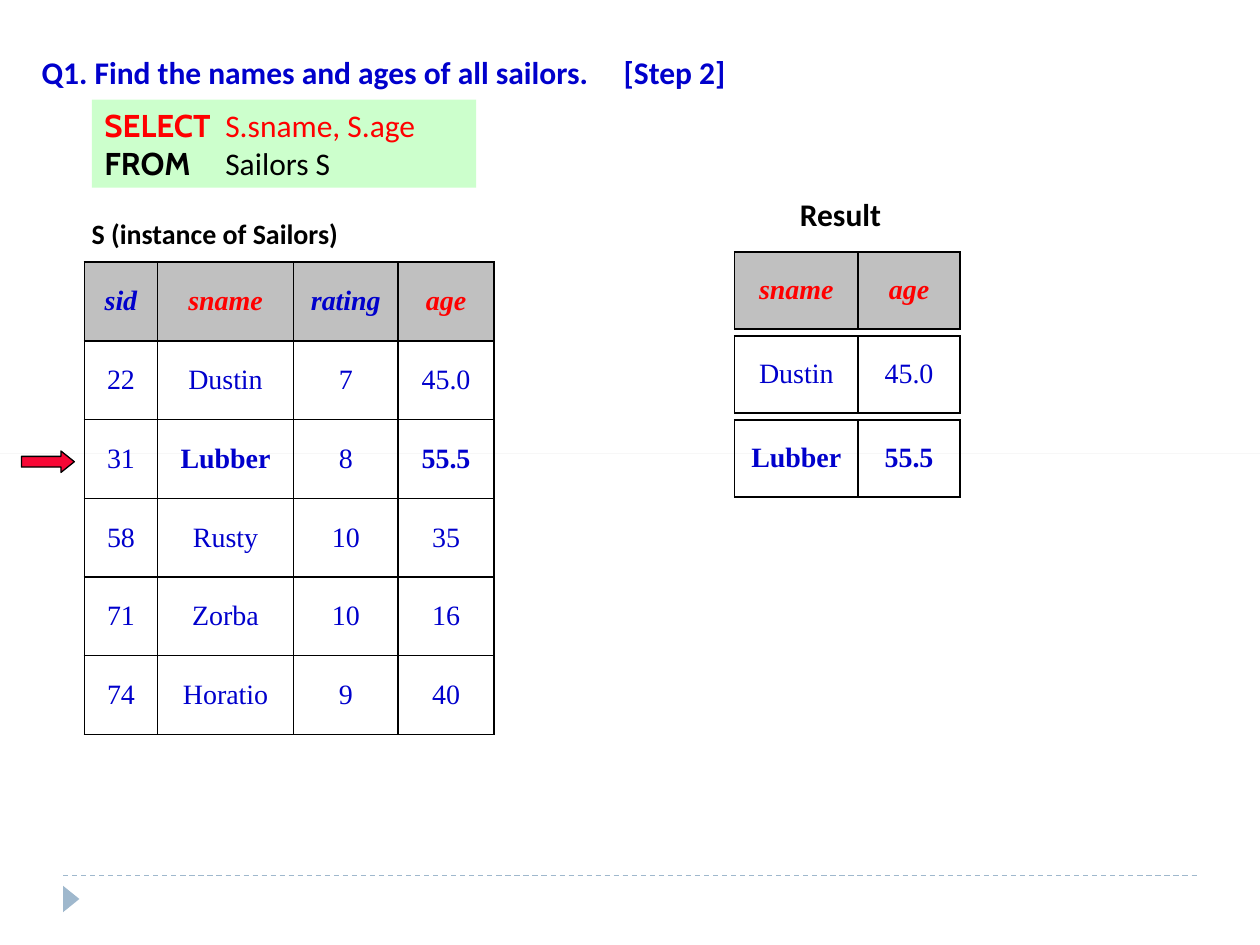
from dataclasses import dataclass

from lxml.etree import SubElement
from pptx import Presentation
from pptx.dml.color import RGBColor
from pptx.enum.dml import MSO_LINE_DASH_STYLE as Dash
from pptx.enum.shapes import MSO_CONNECTOR as Connector, MSO_SHAPE as Shape
from pptx.enum.text import MSO_ANCHOR as Anchor, MSO_AUTO_SIZE as AutoSize, PP_ALIGN as Align
from pptx.oxml.ns import qn
from pptx.util import Inches, Pt


@dataclass(frozen=True)
class Theme:
    black: str = "000000"
    blue: str = "0000CC"
    red: str = "FF0000"
    pointer: str = "F70735"
    grey: str = "C0C0C0"
    green: str = "CCFFCC"
    accent: str = "9FB8CD"
    body_font: str = "Calibri"
    keyword_font: str = "Cabin"
    table_font: str = "Times New Roman"
    large: int = 18
    small: int = 16
    thin: float = 0.75
    border: float = 1


THEME = Theme()
HEADER_COLORS = {"sid": THEME.blue, "sname": THEME.red, "rating": THEME.blue, "age": THEME.red}
SAILORS = [
    ("22", "Dustin", "7", "45.0"),
    ("31", "Lubber", "8", "55.5"),
    ("58", "Rusty", "10", "35"),
    ("71", "Zorba", "10", "16"),
    ("74", "Horatio", "9", "40"),
]
CURRENT = {"Lubber", "55.5"}


def rgb(color):
    return RGBColor.from_string(color)


def add_run(paragraph, text, color, size, font=THEME.body_font, bold=False, italic=False):
    run = paragraph.add_run()
    run.text = text
    run.font.name, run.font.size = font, Pt(size)
    run.font.bold, run.font.italic = bold, italic
    run.font.color.rgb = rgb(color)


def set_tab(paragraph, position):
    stops = SubElement(paragraph._p.get_or_add_pPr(), qn("a:tabLst"))
    SubElement(stops, qn("a:tab"), pos=str(Inches(position)), algn="l")


def place(part, box):
    part.left, part.top, part.width, part.height = map(Inches, box)


def add_filled(slide, kind, box, fill, outline=None):
    part = slide.shapes.add_shape(kind, *map(Inches, box))
    part.shadow.inherit = False
    part.fill.solid()
    part.fill.fore_color.rgb = rgb(fill)
    if outline:
        part.line.color.rgb = rgb(outline)
        part.line.width = Pt(THEME.thin)
    else:
        part.line.fill.background()
    return part


def build_footer(slide, box):
    left, top, width, _ = box
    rule = slide.shapes.add_connector(
        Connector.STRAIGHT, *map(Inches, (left, top, left + width, top)))
    rule.line.color.rgb = rgb(THEME.accent)
    rule.line.width = Pt(THEME.thin)
    rule.line.dash_style = Dash.DASH
    SubElement(rule._element.spPr, qn("a:effectLst"))
    marker = add_filled(slide, Shape.ISOSCELES_TRIANGLE,
                        (left - 0.04, top + 0.12, 0.21, 0.13), THEME.accent)
    marker.rotation = 90


def build_question(slide, box):
    question = slide.shapes.title
    place(question, box)
    frame = question.text_frame
    frame.auto_size = AutoSize.NONE
    frame.vertical_anchor = Anchor.TOP
    paragraph = frame.paragraphs[0]
    paragraph.alignment = Align.LEFT
    set_tab(paragraph, 4.62)
    add_run(paragraph, "Q1. Find the names and ages of all sailors.\t[Step 2]",
            THEME.blue, THEME.large, bold=True)


def build_query(slide, box):
    query = add_filled(slide, Shape.RECTANGLE, box, THEME.green)
    frame = query.text_frame
    frame.word_wrap = True
    frame.vertical_anchor = Anchor.TOP
    clauses = [("SELECT", "S.sname, S.age", THEME.red), ("FROM", "Sailors S", THEME.black)]
    for index, (keyword, operand, color) in enumerate(clauses):
        paragraph = frame.add_paragraph() if index else frame.paragraphs[0]
        paragraph.alignment = Align.LEFT
        set_tab(paragraph, 0.96)
        add_run(paragraph, keyword, color, THEME.large, THEME.keyword_font, bold=True)
        add_run(paragraph, "\t" + operand, color, THEME.large)


def build_caption(slide, box, text, size):
    caption = slide.shapes.add_textbox(*map(Inches, box))
    caption.text_frame.word_wrap = True
    add_run(caption.text_frame.paragraphs[0], text, THEME.black, size, bold=True)


def add_borders(cell):
    properties = cell._tc.get_or_add_tcPr()
    for side in ("a:lnL", "a:lnR", "a:lnT", "a:lnB"):
        edge = SubElement(properties, qn(side), w=str(Pt(THEME.border)))
        SubElement(SubElement(edge, qn("a:solidFill")), qn("a:srgbClr"), val=THEME.black)


def fill_cell(cell, text):
    header = text in HEADER_COLORS
    add_borders(cell)
    if header:
        cell.fill.solid()
        cell.fill.fore_color.rgb = rgb(THEME.grey)
    else:
        cell.fill.background()
    cell.vertical_anchor = Anchor.MIDDLE
    paragraph = cell.text_frame.paragraphs[0]
    paragraph.alignment = Align.CENTER
    add_run(paragraph, text, HEADER_COLORS.get(text, THEME.blue), THEME.small,
            THEME.table_font, bold=header or text in CURRENT, italic=header)


def build_grid(slide, box, widths, records):
    grid = slide.shapes.add_table(len(records), len(widths), *map(Inches, box)).table
    grid.first_row = grid.horz_banding = False
    for column, width in zip(grid.columns, widths):
        column.width = Inches(width)
    for row, record in zip(grid.rows, records):
        row.height = Inches(box[3] / len(records))
        for cell, text in zip(row.cells, record):
            fill_cell(cell, text)


def build_sailors(slide, box):
    left, top, width, height = box
    build_caption(slide, (left - 0.04, top - 0.41, 2.54, 0.37),
                  "S (instance of Sailors)", THEME.small)
    build_grid(slide, box, (0.58, 1.08, 0.83, 0.76), [tuple(HEADER_COLORS), *SAILORS])
    add_filled(slide, Shape.RIGHT_ARROW, (left - 0.5, top + 1.5, 0.42, 0.17),
               THEME.pointer, THEME.black).adjustments[1] = 0.625


def build_result(slide, box):
    left, top, width, height = box
    build_caption(slide, (left + 0.42, top - 0.5, 1.08, 0.4), "Result", THEME.large)
    records = [("sname", "age")] + [(name, age) for _, name, _, age in SAILORS[:2]]
    pitch = height / len(records)
    for index, record in enumerate(records):
        build_grid(slide, (left, top + index * pitch, width, 0.61), (0.98, 0.81), [record])


def main():
    deck = Presentation()
    deck.slide_width, deck.slide_height = Inches(10), Inches(7.5)
    slide = deck.slides.add_slide(deck.slide_layouts[5])
    build_footer(slide, (0.5, 6.95, 9, 0.3))
    add_filled(slide, Shape.RECTANGLE, (0, 3.6, 10, 0), THEME.grey)
    build_question(slide, (0.23, 0.37, 7.85, 0.4))
    build_query(slide, (0.73, 0.79, 3.05, 0.7))
    build_sailors(slide, (0.67, 2.08, 3.25, 3.75))
    build_result(slide, (5.83, 2, 1.79, 2))
    deck.save("out.pptx")


if __name__ == "__main__":
    main()
